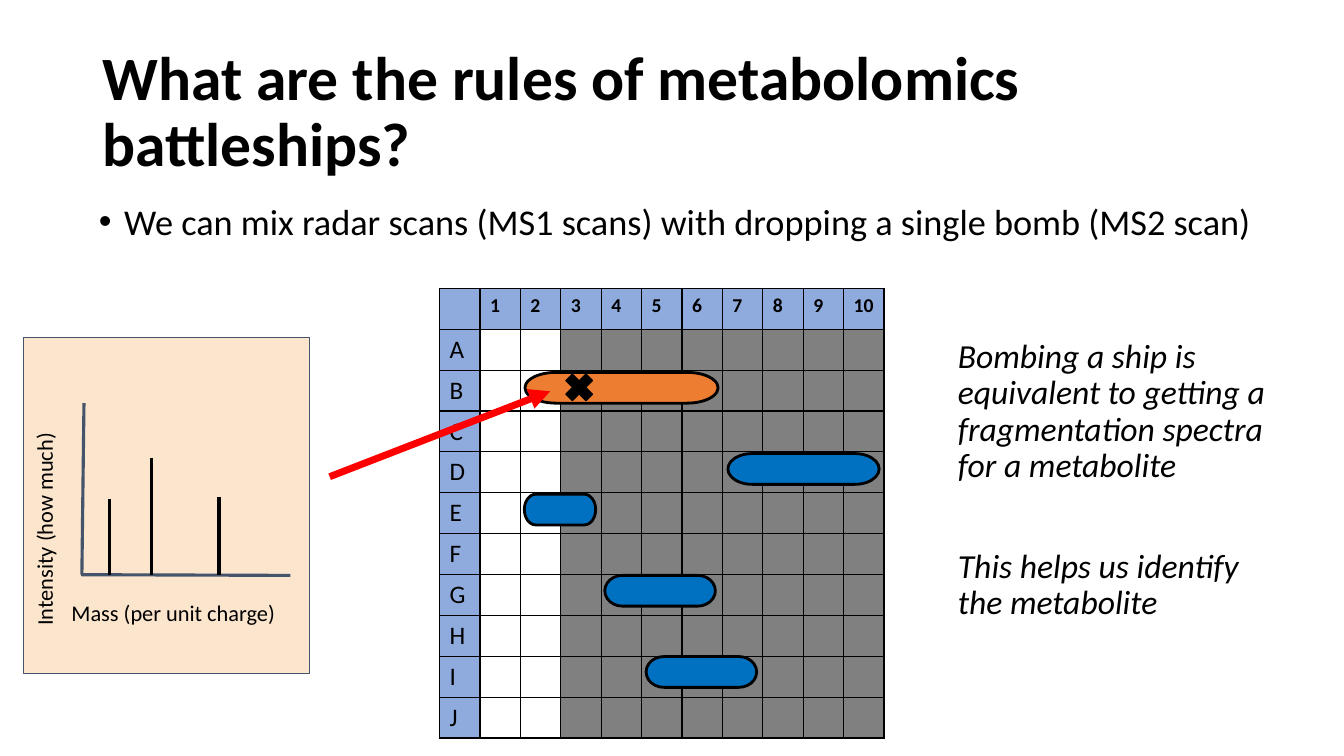
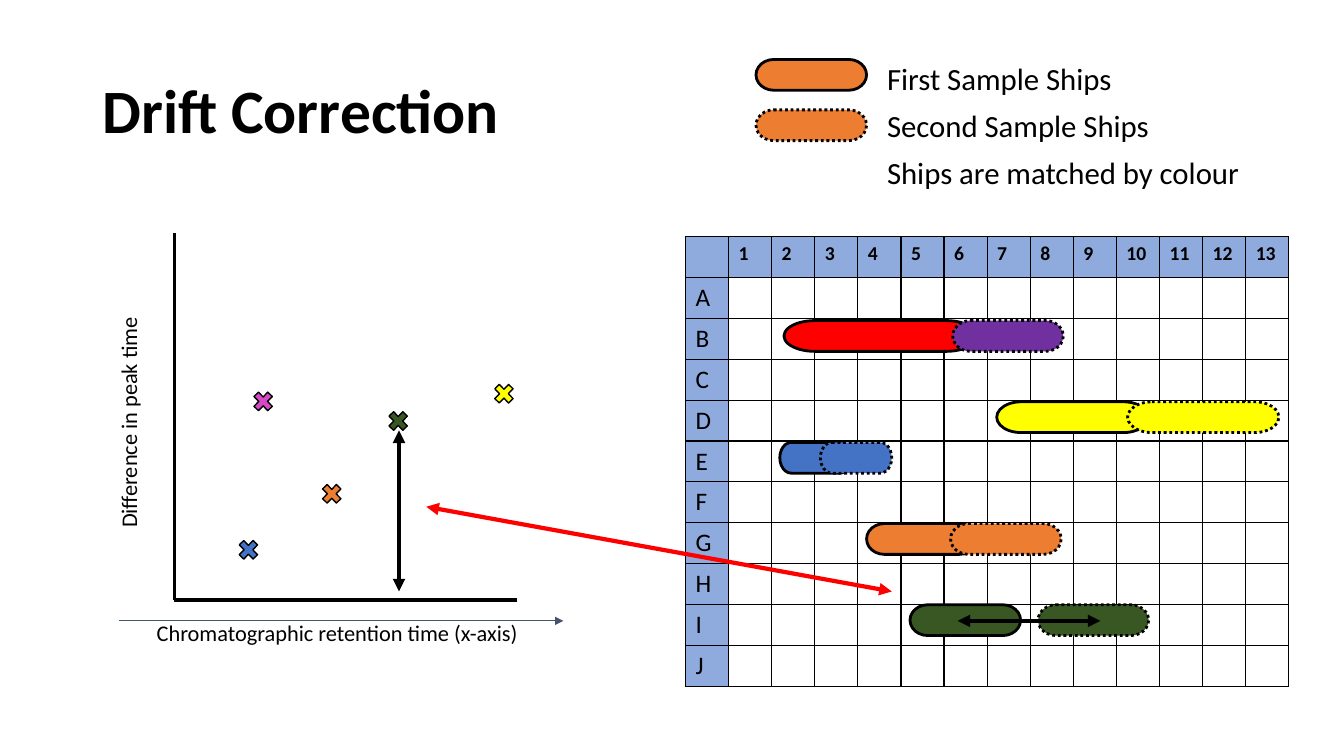
"""Build two slides that explain metabolomics as a game of battleships."""
from lxml import etree
from pptx import Presentation
from pptx.dml.color import RGBColor
from pptx.enum.dml import MSO_LINE
from pptx.enum.shapes import MSO_CONNECTOR, MSO_SHAPE
from pptx.enum.text import MSO_ANCHOR, MSO_AUTO_SIZE, PP_ALIGN
from pptx.oxml.ns import qn
from pptx.util import Pt

STRAIGHT = MSO_CONNECTOR.STRAIGHT
SHIP, CROSS, PANEL = MSO_SHAPE.FLOWCHART_TERMINATOR, MSO_SHAPE.MATH_MULTIPLY, MSO_SHAPE.RECTANGLE
SOLID, DOTTED = MSO_LINE.SOLID, MSO_LINE.ROUND_DOT
LEFT, MIDDLE, TOP = PP_ALIGN.LEFT, MSO_ANCHOR.MIDDLE, MSO_ANCHOR.TOP
NO_FIT = MSO_AUTO_SIZE.NONE

BLACK = RGBColor(0x00, 0x00, 0x00)
WHITE = RGBColor(0xFF, 0xFF, 0xFF)
GREY = RGBColor(0x80, 0x80, 0x80)
HEADER_BLUE = RGBColor(0x8F, 0xAA, 0xDC)
SHIP_BLUE = RGBColor(0x00, 0x70, 0xC0)
BLUE = RGBColor(0x44, 0x72, 0xC4)
ORANGE = RGBColor(0xED, 0x7D, 0x31)
RED = RGBColor(0xFF, 0x00, 0x00)
GREEN = RGBColor(0x38, 0x57, 0x23)
YELLOW = RGBColor(0xFF, 0xFF, 0x00)
PURPLE = RGBColor(0x70, 0x30, 0xA0)
PINK = RGBColor(0xD5, 0x49, 0xC4)
SLATE = RGBColor(0x44, 0x54, 0x6A)
PEACH = RGBColor(0xFC, 0xE5, 0xCD)

FONT = "Calibri"
TITLE_FONT = {"name": FONT, "size": Pt(44), "bold": True}
HEADER_FONT = {"name": FONT, "size": Pt(14), "bold": True}
ROW_FONT = {"name": FONT, "size": Pt(18), "bold": False}
LABEL_FONT = {"name": FONT, "size": Pt(16)}
ROWS = "ABCDEFGHIJ"
ROW_HEIGHT = 29
SHIP_HEIGHT = 22


def draw_shape(page, kind, at, fill, weight, edge=BLACK, dash=SOLID):
    shape = page.shapes.add_shape(kind, *map(Pt, at))
    shape.shadow.inherit = False
    shape.fill.solid()
    shape.fill.fore_color.rgb = fill
    shape.line.color.rgb = edge
    shape.line.width = Pt(weight)
    shape.line.dash_style = dash


def draw_line(page, ends, color, weight, arrows=()):
    line = page.shapes.add_connector(STRAIGHT, *map(Pt, ends))
    line.line.color.rgb = color
    line.line.width = Pt(weight)
    outline = line.line._get_or_add_ln()
    for arrow in arrows:
        etree.SubElement(outline, qn(f"a:{arrow}"), type="triangle")
    etree.SubElement(line._element.spPr, qn("a:effectLst"))


deck = Presentation()
deck.slide_width, deck.slide_height = Pt(960), Pt(540)
rules_page = deck.slides.add_slide(deck.slide_layouts[3])
drift_page = deck.slides.add_slide(deck.slide_layouts[1])

titles = [
    (rules_page, "What are the rules of metabolomics battleships?"),
    (drift_page, "Drift Correction"),
]
for page, text in titles:
    box = page.shapes.title
    box.left, box.top, box.width, box.height = map(Pt, (66, 29, 828, 104))
    frame = box.text_frame
    frame.text = text
    frame.auto_size, frame.vertical_anchor = NO_FIT, MIDDLE
    para = frame.paragraphs[0]
    para.alignment, para.line_spacing = LEFT, 0.9
    for name, value in TITLE_FONT.items():
        setattr(para.runs[0].font, name, value)
    para.runs[0].font.color.rgb = BLACK

bodies = [
    (rules_page, 1, (63.4, 142, 862.6, 48), 18, 0, {"size": Pt(25.9)},
     ["We can mix radar scans (MS1 scans) with dropping a single bomb (MS2 scan)"]),
    (rules_page, 2, (677, 239, 239, 242), 0, 46, {"size": Pt(24), "italic": True},
     ["Bombing a ship is equivalent to getting a fragmentation spectra for a metabolite",
      "This helps us identify the metabolite"]),
    (drift_page, 1, (626.4, 42, 271.4, 117), 0, 10, {"size": Pt(22)},
     ["First Sample Ships", "Second Sample Ships", "Ships are matched by colour"]),
]
for page, slot, at, indent, gap, style, texts in bodies:
    box = page.placeholders[slot]
    box.left, box.top, box.width, box.height = map(Pt, at)
    frame = box.text_frame
    frame.text = "\n".join(texts)
    frame.auto_size, frame.vertical_anchor = NO_FIT, TOP
    for number, para in enumerate(frame.paragraphs):
        properties = para._p.get_or_add_pPr()
        properties.set("marL", str(Pt(indent)))
        properties.set("indent", str(-Pt(indent)))
        if not indent:
            etree.SubElement(properties, qn("a:buNone"))
        para.line_spacing = 0.9
        para.space_before = Pt(gap if number else 0)
        for name, value in {"name": FONT, **style}.items():
            setattr(para.runs[0].font, name, value)
        para.runs[0].font.color.rgb = BLACK

boards = [
    (rules_page, 314, 206, 10, 28.87, 2),
    (drift_page, 489.6, 169, 13, 30.8, 13),
]
for page, left, top, columns, column_width, scanned in boards:
    table = page.shapes.add_table(
        len(ROWS) + 1, columns + 1, Pt(left), Pt(top),
        Pt(column_width * (columns + 1)), Pt(ROW_HEIGHT * (len(ROWS) + 1))).table
    table.first_row = table.horz_banding = False
    for column in table.columns:
        column.width = Pt(column_width)
    for row_number, row in enumerate(table.rows):
        row.height = Pt(ROW_HEIGHT)
        for column_number, cell in enumerate(row.cells):
            text, style, fill = "", ROW_FONT, WHITE
            if row_number == 0:
                text, style, fill = str(column_number or ""), HEADER_FONT, HEADER_BLUE
            elif column_number == 0:
                text, fill = ROWS[row_number - 1], HEADER_BLUE
            elif column_number > scanned:
                fill = GREY
            cell.fill.solid()
            cell.fill.fore_color.rgb = fill
            for position, side in enumerate(("lnL", "lnR", "lnT", "lnB")):
                border = etree.Element(qn(f"a:{side}"), w=str(Pt(1)))
                paint = etree.SubElement(border, qn("a:solidFill"))
                etree.SubElement(paint, qn("a:srgbClr"), val=str(BLACK))
                cell._tc.tcPr.insert(position, border)
            if text:
                cell.text = text
                span = cell.text_frame.paragraphs[0].runs[0]
                for name, value in style.items():
                    setattr(span.font, name, value)
                span.font.color.rgb = BLACK

ships = [
    (rules_page, 206, "G", 432, 79, SHIP_BLUE, SOLID),
    (rules_page, 206, "I", 461.5, 79, SHIP_BLUE, SOLID),
    (rules_page, 206, "E", 374.5, 51, SHIP_BLUE, SOLID),
    (rules_page, 206, "D", 520, 108, SHIP_BLUE, SOLID),
    (rules_page, 206, "B", 375, 138, ORANGE, SOLID),
    (drift_page, 169, "G", 619, 79, ORANGE, SOLID),
    (drift_page, 169, "I", 650, 79, GREEN, SOLID),
    (drift_page, 169, "E", 557, 51, BLUE, SOLID),
    (drift_page, 169, "B", 560, 138, RED, SOLID),
    (drift_page, 169, "D", 712, 108, YELLOW, SOLID),
    (drift_page, 169, "G", 679, 79, ORANGE, DOTTED),
    (drift_page, 169, "I", 741.5, 79, GREEN, DOTTED),
    (drift_page, 169, "E", 586, 51, BLUE, DOTTED),
    (drift_page, 169, "D", 805.5, 108, YELLOW, DOTTED),
    (drift_page, 169, "B", 680.5, 79, PURPLE, DOTTED),
]
for page, board_top, row, left, width, fill, dash in ships:
    top = board_top + ROW_HEIGHT * (ROWS.index(row) + 1) + 2
    draw_shape(page, SHIP, (left, top, width, SHIP_HEIGHT), fill, 2, dash=dash)
for top, dash in ((42.5, SOLID), (78.5, DOTTED)):
    draw_shape(drift_page, SHIP, (540, top, 79, SHIP_HEIGHT), ORANGE, 2, dash=dash)

draw_shape(rules_page, CROSS, (400, 263, 27.5, 27.5), BLACK, 1)
draw_shape(rules_page, PANEL, (17, 241, 204, 240), PEACH, 0.75, SLATE)
points = [(168, 383, BLUE), (227.5, 343, ORANGE), (275, 291, GREEN),
          (350.5, 271.5, YELLOW), (178.5, 277, PINK)]
for left, top, fill in points:
    draw_shape(drift_page, CROSS, (left, top, 19, 19.5), fill, 1)

both_ends = ("headEnd", "tailEnd")
lines = [
    (rules_page, (235.5, 340.5, 393, 279.5), RED, 5, ("tailEnd",)),
    (rules_page, (60, 288, 58.5, 410.5), SLATE, 2.25, ()),
    (rules_page, (58, 410.5, 207.5, 411), SLATE, 2.25, ()),
    (drift_page, (124.5, 166.5, 124.5, 428.5), BLACK, 2.5, ()),
    (drift_page, (369.5, 428.5, 124.5, 428.5), BLACK, 2.5, ()),
    (drift_page, (85, 443.5, 402.5, 443.5), SLATE, 0.75, ("tailEnd",)),
    (drift_page, (684, 443.5, 786, 443.5), BLACK, 3, both_ends),
    (drift_page, (285, 422.5, 285, 307.5), BLACK, 3, both_ends),
    (drift_page, (304.5, 362, 637, 422.5), RED, 3, both_ends),
]
for line in lines:
    draw_line(*line)
for left, peak in ((78.5, 356.5), (108, 327), (156.5, 355)):
    draw_line(rules_page, (left, peak, left, 410.5), BLACK, 2.25)

labels = [
    (rules_page, "Mass (per unit charge)", (44, 420.5, 177, 43), 0, 7.2),
    (rules_page, "Intensity (how much)", (-66, 338.5, 196, 35), 270, 7.2),
    (drift_page, "Chromatographic retention time (x-axis)", (102.5, 433, 314, 41), 0, 9.4),
    (drift_page, "Difference in peak time", (-64, 209, 314, 41), 270, 9.4),
]
for page, text, at, rotation, inset in labels:
    box = page.shapes.add_textbox(*map(Pt, at))
    box.rotation = rotation
    frame = box.text_frame
    frame.text = text
    frame.word_wrap = True
    for side in ("left", "top", "right", "bottom"):
        setattr(frame, f"margin_{side}", Pt(inset))
    span = frame.paragraphs[0].runs[0]
    for name, value in LABEL_FONT.items():
        setattr(span.font, name, value)
    span.font.color.rgb = BLACK

deck.save("out.pptx")
